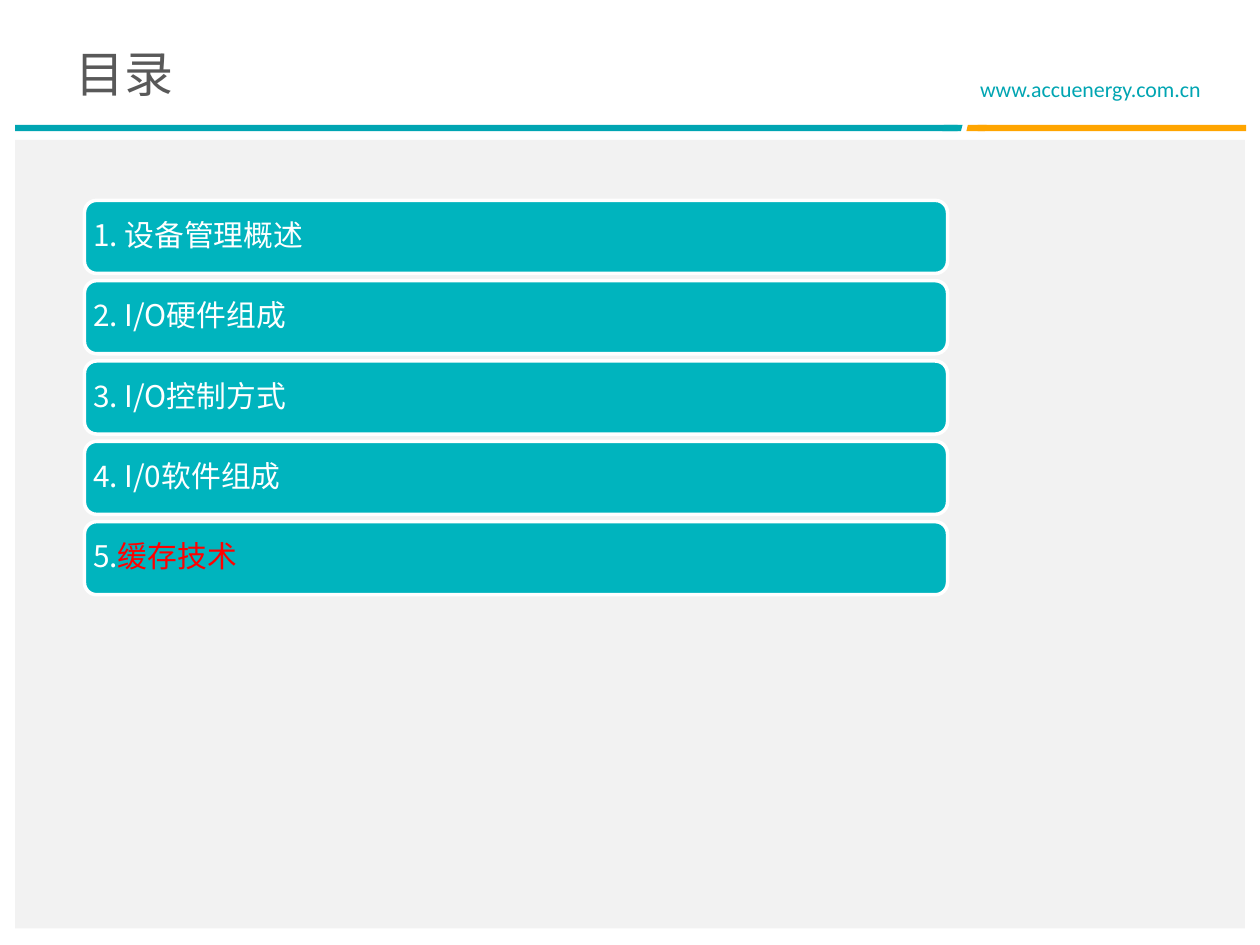
from typing import NamedTuple

from pptx import Presentation
from pptx.dml.color import RGBColor
from pptx.enum import shapes, text
from pptx.oxml.ns import qn
from pptx.util import Inches, Pt

CJK = "Noto Sans CJK SC"
KIND = shapes.MSO_SHAPE


class Box(NamedTuple):
    left: float
    top: float
    width: float
    height: float


class Part(NamedTuple):
    kind: int
    box: Box
    fill: str


class Run(NamedTuple):
    words: str
    color: str = "FFFFFF"


def color(code: str) -> RGBColor:
    return RGBColor.from_string(code)


def place(box: Box) -> list:
    return [Inches(side) for side in box]


def style(run, size: float, face: str, code: str) -> None:
    run.font.size = Pt(size)
    run.font.name = face
    run.font.color.rgb = color(code)
    # East Asian letters take their own font
    east = run.font._element.makeelement(qn("a:ea"), {"typeface": CJK})
    run.font._element.find(qn("a:latin")).addnext(east)


def draw(slide, part: Part):
    shape = slide.shapes.add_shape(part.kind, *place(part.box))
    shape.shadow.inherit = False
    shape.fill.solid()
    shape.fill.fore_color.rgb = color(part.fill)
    shape.line.fill.background()
    return shape


def label(slide, box: Box, words: str, size: float, face: str, code: str) -> None:
    frame = slide.shapes.add_textbox(*place(box)).text_frame
    frame.word_wrap = True
    frame.text = words
    style(frame.paragraphs[0].runs[0], size, face, code)


def bar(slide, box: Box, runs: list[Run]) -> None:
    shape = draw(slide, Part(KIND.ROUNDED_RECTANGLE, box, "00B4BE"))
    shape.line.color.rgb = color("FFFFFF")
    shape.line.width = Pt(2)
    frame = shape.text_frame
    frame.word_wrap = True
    frame.vertical_anchor = text.MSO_ANCHOR.MIDDLE
    # The rounded corners add their own inset
    frame.margin_left = frame.margin_right = Inches(0.04)
    frame.margin_top = frame.margin_bottom = Inches(0.04)
    para = frame.paragraphs[0]
    para.alignment = text.PP_ALIGN.LEFT
    para.line_spacing = 0.9
    para.space_after = Pt(6)
    for item in runs:
        run = para.add_run()
        run.text = item.words
        style(run, 17, CJK, item.color)


PARTS = [
    Part(KIND.RECTANGLE, Box(0.12, 1.11, 9.76, 6.26), "F2F2F2"),
    Part(KIND.RECTANGLE, Box(0.12, 0.99, 7.48, 0.05), "00A5B2"),
    Part(KIND.RECTANGLE, Box(7.76, 0.99, 2.13, 0.05), "FFA500"),
    Part(KIND.PARALLELOGRAM, Box(7.67, 0.99, 0.16, 0.05), "FFA500"),
    Part(KIND.PARALLELOGRAM, Box(7.48, 0.99, 0.16, 0.05), "00A8B2"),
]

TOPICS = [
    [Run("1. 设备管理概述")],
    [Run("2. I/O硬件组成")],
    [Run("3. I/O控制方式")],
    [Run("4. I/0软件组成")],
    [Run("5."), Run("缓存技术", "FF0000")],
]
FIRST, LAST = 1.59, 4.14


def main() -> None:
    deck = Presentation()
    deck.slide_width, deck.slide_height = Inches(10), Inches(7.5)
    slide = deck.slides.add_slide(deck.slide_layouts[6])

    # Panel and header rule
    for part in PARTS:
        draw(slide, part)

    # Header text
    label(slide, Box(7.68, 0.55, 2.05, 0.31), "www.accuenergy.com.cn",
          12.5, "Calibri", "00A5B2")
    label(slide, Box(0.5, 0.3, 6.71, 0.54), "目录", 28, "Arial", "595959")

    # Contents, evenly spaced
    step = (LAST - FIRST) / (len(TOPICS) - 1)
    for row, runs in enumerate(TOPICS):
        bar(slide, Box(0.67, FIRST + row * step, 6.85, 0.58), runs)

    deck.save("out.pptx")


if __name__ == "__main__":
    main()
